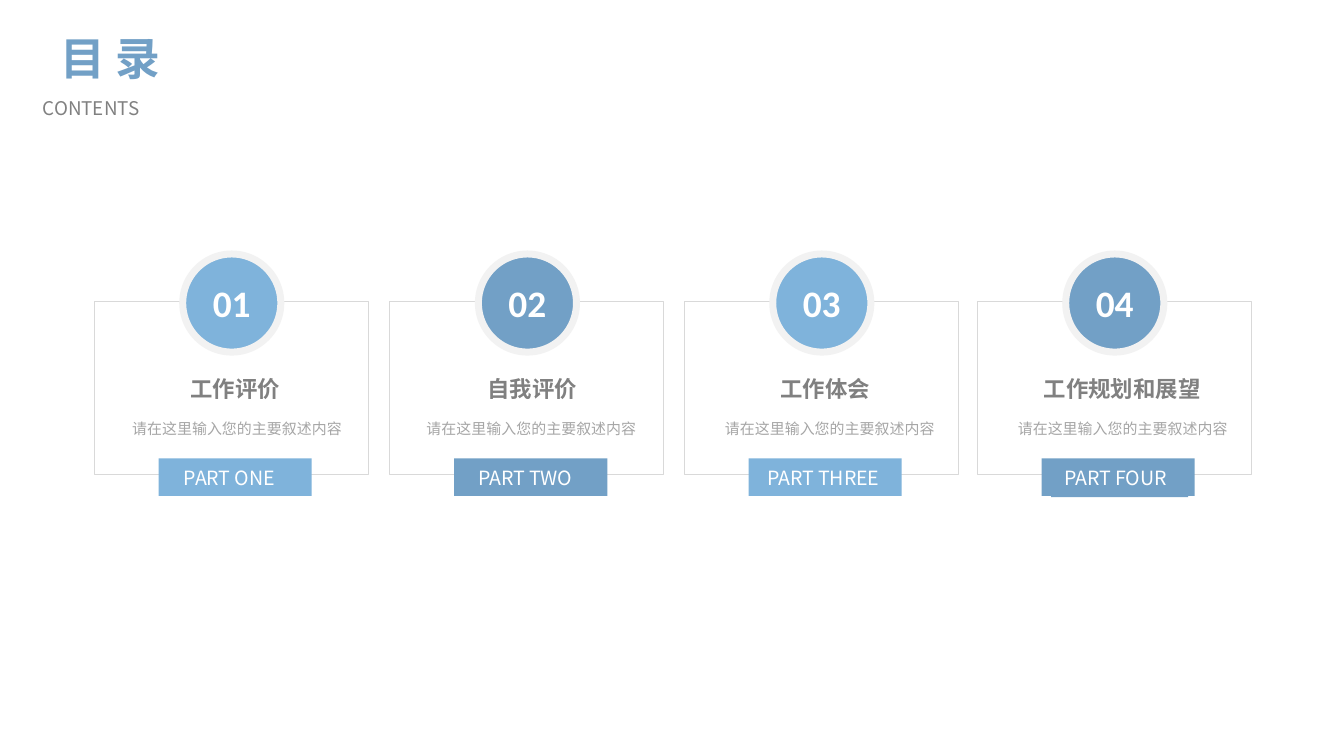
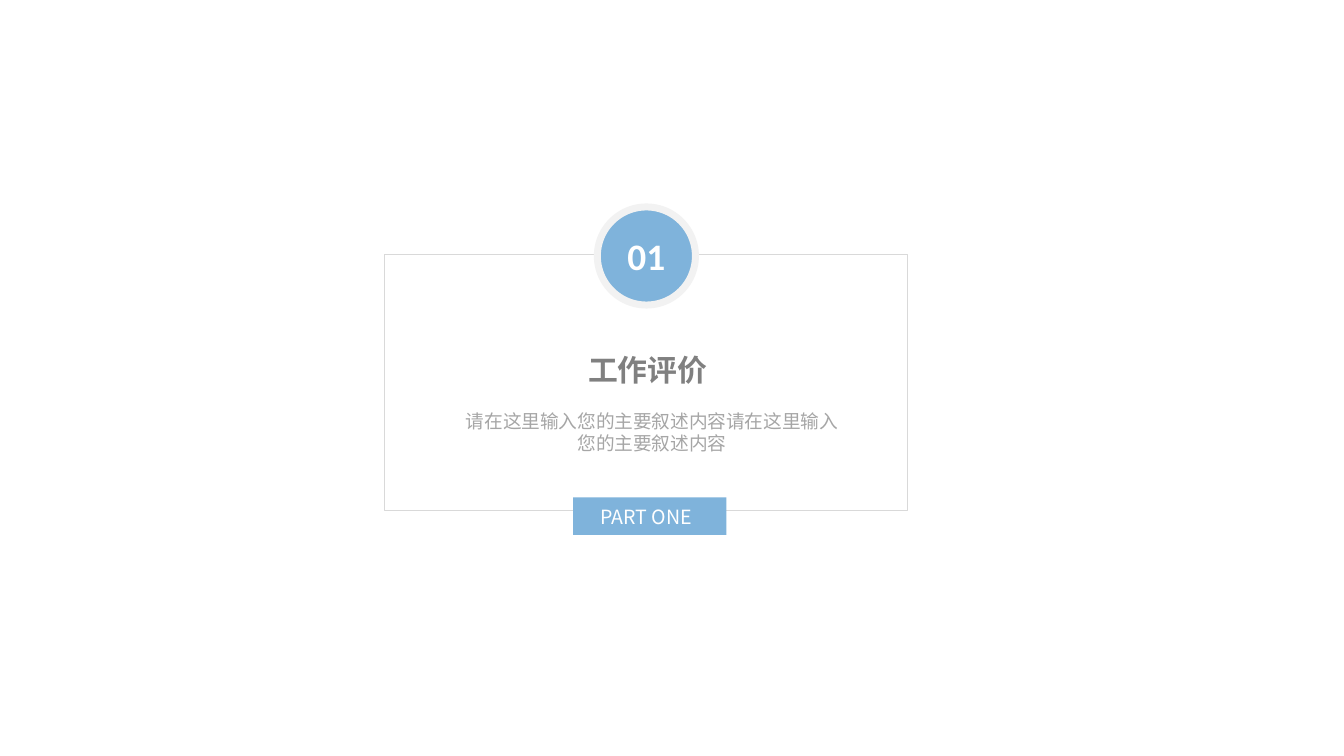
import pptx
import pptx.util
import pptx.dml.color
import pptx.enum.shapes
import pptx.enum.text
import pptx.oxml.ns
import lxml.etree

Inches = pptx.util.Inches
Pt = pptx.util.Pt
SHAPE = pptx.enum.shapes.MSO_SHAPE
ALIGN = pptx.enum.text.PP_ALIGN
ANCHOR = pptx.enum.text.MSO_ANCHOR
FIT = pptx.enum.text.MSO_AUTO_SIZE

SANS = "Noto Sans CJK SC"
LIGHT, DARK, WHITE = "7FB3DB", "72A0C6", "FFFFFF"
GREY, PALE, RULE, RING = "808080", "A6A6A6", "D9D9D9", "F2F2F2"
PROMPT = "请在这里输入您的主要叙述内容"


def draw(s, kind, at, fill=None, line=None, width=0.5):
    sp = s.shapes.add_shape(kind, *[Inches(v) for v in at])
    sp.shadow.inherit = False
    for part, colour in ((sp.fill, fill), (sp.line.fill, line)):
        if colour:
            part.solid()
            part.fore_color.rgb = pptx.dml.color.RGBColor.from_string(colour)
        else:
            part.background()
    if line:
        sp.line.width = Pt(width)
    return sp


def write(sp, at, text, size, colour, bold=False, font=SANS, align=ALIGN.CENTER,
          wrap=False, anchor=ANCHOR.TOP, fit=FIT.SHAPE_TO_FIT_TEXT):
    for name, value in zip(("left", "top", "width", "height"), at):
        setattr(sp, name, Inches(value))
    tf = sp.text_frame
    frame = {"word_wrap": wrap, "auto_size": fit, "vertical_anchor": anchor}
    for name, value in frame.items():
        setattr(tf, name, value)
    p = tf.paragraphs[0]
    p.alignment = align
    r = p.add_run()
    r.text = text
    for name, value in {"size": Pt(size), "bold": bold, "name": font}.items():
        setattr(r.font, name, value)
    r.font.color.rgb = pptx.dml.color.RGBColor.from_string(colour)
    ea = lxml.etree.SubElement(r._r.get_or_add_rPr(), pptx.oxml.ns.qn("a:ea"))
    ea.set("typeface", font)


prs = pptx.Presentation()
prs.slide_width = Inches(10)
prs.slide_height = Inches(10 * 9 / 16)
contents, divider = [prs.slides.add_slide(prs.slide_layouts[5]) for _ in range(2)]

sp = contents.shapes.title
write(sp, (0.36, 0.19, 0.92, 0.48), "目 录", 24, DARK, bold=True)
margins = {"margin_left": 0.07, "margin_right": 0.07, "margin_top": 0.04, "margin_bottom": 0.04}
for name, value in margins.items():
    setattr(sp.text_frame, name, Inches(value))
sp = contents.shapes.add_textbox(0, 0, 0, 0)
write(sp, (0.22, 0.67, 1.28, 0.27), "CONTENTS", 10.1, GREY, align=ALIGN.JUSTIFY, wrap=True)

small = {"card": (2.24, 2.04, 1.29), "tag": 3.41, "head": (2.74, 0.3, 12),
         "body": (3.07, 1.77, 0.24, 8), "prompt": PROMPT}
large = {"card": (1.89, 3.89, 1.91), "tag": 3.7, "head": (2.57, 0.37, 16),
         "body": (3, 3.04, 0.44, 10), "prompt": PROMPT * 2}
cards = [
    (contents, small, "01", LIGHT, 0.7, "工作评价", 1.31, 0.88, 0.88, "PART ONE", 1.27, 0.94),
    (contents, small, "02", DARK, 2.9, "自我评价", 3.52, 0.88, 3.07, "PART TWO", 3.46, 0.97),
    (contents, small, "03", LIGHT, 5.09, "工作体会", 5.7, 0.88, 5.29, "PART THREE", 5.61, 1.07),
    (contents, small, "04", DARK, 7.27, "工作规划和展望", 7.66, 1.38, 7.47, "PART FOUR", 7.82, 1.02),
    (divider, large, "01", LIGHT, 2.86, "工作评价", 4.27, 1.1, 3.33, "PART ONE", 4.37, 0.94),
]

for s, fmt, number, colour, x, heading, head_x, head_w, body_x, label, label_x, label_w in cards:
    y, w, h = fmt["card"]
    mid = x + w / 2
    draw(s, SHAPE.RECTANGLE, (x, y, w, h), line=RULE)

    at = (mid - 0.36, y - 0.35, 0.73, 0.73)
    sp = draw(s, SHAPE.OVAL, at, colour, RING, 3.75)
    write(sp, at, number, 20, WHITE, bold=True, font="Calibri",
          wrap=True, anchor=ANCHOR.MIDDLE, fit=FIT.NONE)

    draw(s, SHAPE.RECTANGLE, (mid - 0.54, fmt["tag"], 1.14, 0.28), colour)

    top, height, size = fmt["head"]
    sp = s.shapes.title if s is divider else s.shapes.add_textbox(0, 0, 0, 0)
    write(sp, (head_x, top, head_w, height), heading, size, GREY, bold=True)

    top, width, height, size = fmt["body"]
    sp = s.shapes.add_textbox(0, 0, 0, 0)
    write(sp, (body_x, top, width, height), fmt["prompt"], size, PALE, wrap=True)

    at = (label_x, fmt["tag"] + 0.01, label_w, 0.28)
    if number == "04":
        sp = draw(s, SHAPE.RECTANGLE, at, colour)
    else:
        sp = s.shapes.add_textbox(0, 0, 0, 0)
    write(sp, at, label, 10.5, WHITE, align=ALIGN.LEFT)

prs.save("out.pptx")
